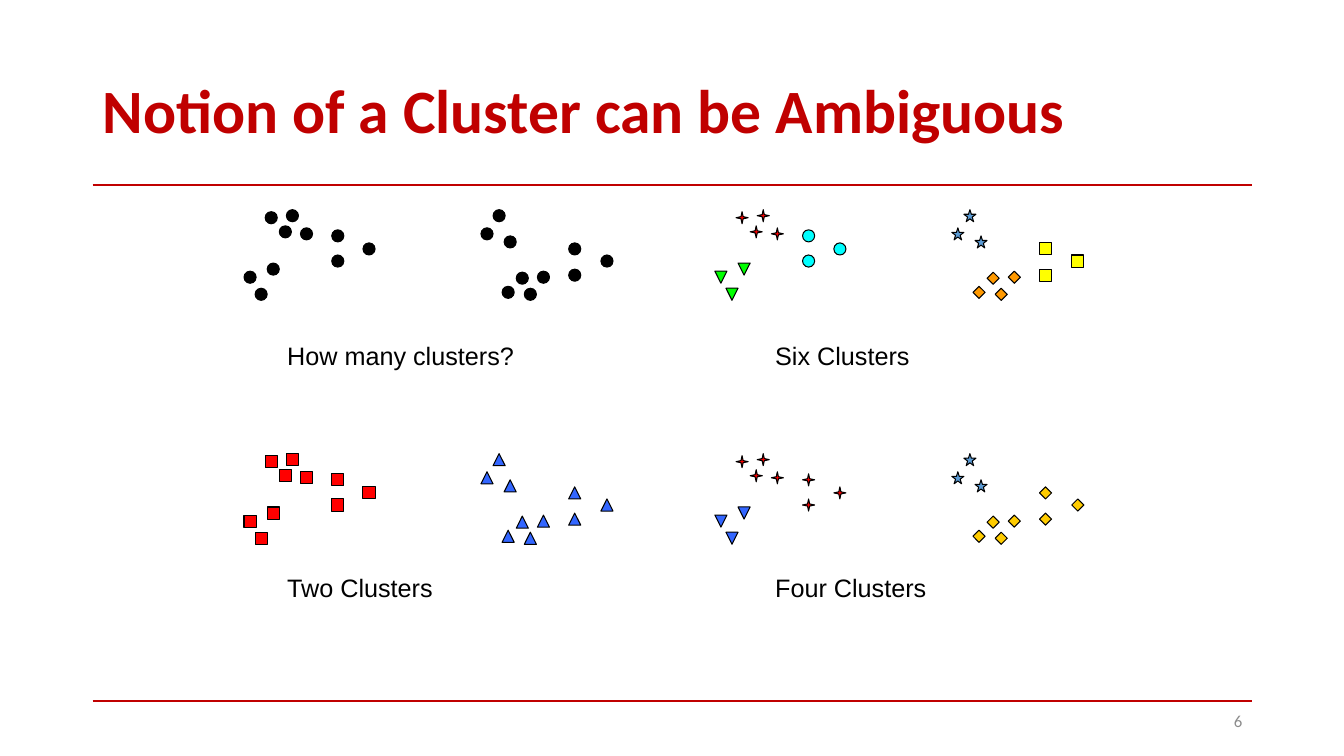
from lxml import etree
from pptx import Presentation
from pptx.dml.color import RGBColor
from pptx.enum.shapes import MSO_CONNECTOR, MSO_SHAPE
from pptx.enum.text import MSO_ANCHOR, PP_ALIGN
from pptx.oxml.ns import qn
from pptx.util import Pt

PX = 9144  # 100 px to the inch
MARKER = 12
CIRCLE, SQUARE, DIAMOND = MSO_SHAPE.OVAL, MSO_SHAPE.RECTANGLE, MSO_SHAPE.DIAMOND
STAR4, STAR5 = MSO_SHAPE.STAR_4_POINT, MSO_SHAPE.STAR_5_POINT
TRIANGLE, EXTRACT = MSO_SHAPE.ISOSCELES_TRIANGLE, MSO_SHAPE.FLOWCHART_EXTRACT
STRAIGHT = MSO_CONNECTOR.STRAIGHT
TOP, MIDDLE = MSO_ANCHOR.TOP, MSO_ANCHOR.MIDDLE
LEFT, RIGHT = PP_ALIGN.LEFT, PP_ALIGN.RIGHT

COLORS = {
    "crimson": "C00000", "black": "000000", "gray": "8C8C8C",
    "red": "FF0000", "green": "00FF00", "cyan": "00FFFF",
    "orange": "FF9900", "steel": "5B9BD5", "yellow": "FFFF00",
    "blue": "3366FF", "gold": "FFCC00",
}


def rgb(name):
    return RGBColor.from_string(COLORS[name])


def add_text(shapes, box, text, font_name, size, color,
             bold=False, anchor=TOP, align=LEFT):
    frame = shapes.add_textbox(*(v * PX for v in box)).text_frame
    frame.word_wrap = True
    frame.vertical_anchor = anchor
    paragraph = frame.paragraphs[0]
    paragraph.text = text
    paragraph.alignment = align
    font = paragraph.font
    font.name, font.size, font.bold = font_name, Pt(size), bold
    font.color.rgb = rgb(color)
    return paragraph


prs = Presentation()
prs.slide_width, prs.slide_height = 1333 * PX, 750 * PX
slide = prs.slides.add_slide(prs.slide_layouts[6])

for rule_y in (184, 695):
    rule = slide.shapes.add_connector(
        STRAIGHT, 92 * PX, rule_y * PX, 1242 * PX, rule_y * PX)
    rule.line.color.rgb = rgb("crimson")
    rule.line.width = Pt(1.5)
    etree.SubElement(rule._element.spPr, qn("a:effectLst"))

title = add_text(slide.shapes, (92, 40, 1150, 145),
                 "Notion of a Cluster can be Ambiguous",
                 "Calibri", 44, "crimson", bold=True, anchor=MIDDLE)
title.line_spacing = 0.9

# The same six point groups appear in every panel, as offsets from its corner
POINT_GROUPS = [
    [(56, 18), (21, 2), (42, 0), (35, 16)],
    [(23, 53), (0, 61), (11, 78)],
    [(87, 20), (118, 33), (87, 45)],
    [(258, 26), (235, 18), (247, 0)],
    [(291, 61), (256, 76), (278, 78), (270, 62)],
    [(322, 59), (354, 45), (322, 33)],
]

# Panel: left, top, caption top, caption, (marker, color, upside down) per group
PANELS = [
    (242, 208, 333, "How many clusters?", [(CIRCLE, "black", False)] * 6),
    (709, 208, 333, "Six Clusters", [
        (STAR4, "red", False), (TRIANGLE, "green", True),
        (CIRCLE, "cyan", False), (STAR5, "steel", False),
        (DIAMOND, "orange", False), (SQUARE, "yellow", False)]),
    (242, 450, 563, "Two Clusters",
     [(SQUARE, "red", False)] * 3 + [(TRIANGLE, "blue", False)] * 3),
    (709, 450, 563, "Four Clusters", [
        (STAR4, "red", False), (EXTRACT, "blue", True),
        (STAR4, "red", False), (STAR5, "steel", False),
        (DIAMOND, "gold", False), (DIAMOND, "gold", False)]),
]
CAPTION_LEFT = {242: 275, 709: 759}

for left, top, caption_top, caption, styles in PANELS:
    panel = slide.shapes.add_group_shape()
    for points, (kind, color, upside_down) in zip(POINT_GROUPS, styles):
        for dx, dy in points:
            marker = panel.shapes.add_shape(
                kind, (left + dx) * PX, (top + dy) * PX, MARKER * PX, MARKER * PX)
            marker.shadow.inherit = False
            marker.fill.solid()
            marker.fill.fore_color.rgb = rgb(color)
            marker.line.color.rgb = rgb("black")
            marker.line.width = Pt(0.75)
            if kind == STAR4:
                marker.adjustments[0] = 0.125
            if upside_down:
                marker._element.spPr.find(qn("a:xfrm")).set("flipV", "1")
    add_text(panel.shapes, (CAPTION_LEFT[left], caption_top, 250, 40),
             caption, "Arial", 18, "black")

add_text(slide.shapes, (942, 695, 300, 40), "6", "Calibri", 12, "gray",
         anchor=MIDDLE, align=RIGHT)

prs.save("out.pptx")
